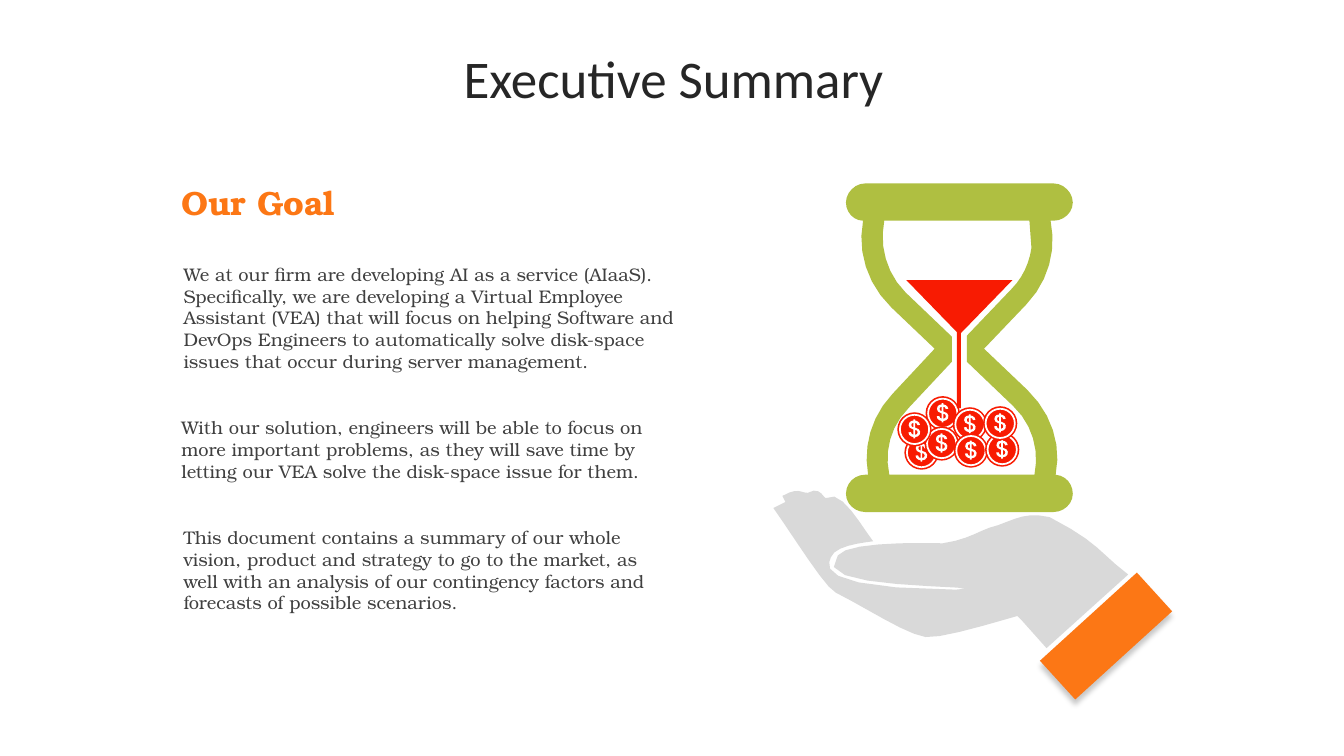
from dataclasses import dataclass

from lxml import etree
from pptx import Presentation
from pptx.dml.color import RGBColor
from pptx.enum import shapes, text
from pptx.oxml import ns
from pptx.util import Inches, Pt

INK = RGBColor(0x26, 0x26, 0x26)
BODY_GREY = RGBColor(0x40, 0x40, 0x40)
SKIN_GREY = RGBColor(0xD9, 0xD9, 0xD9)
ORANGE = RGBColor(0xFC, 0x77, 0x15)
GREEN = RGBColor(0xAF, 0xBF, 0x41)
RED = RGBColor(0xF8, 0x1B, 0x02)
WHITE = RGBColor(0xFF, 0xFF, 0xFF)
SERIF = "TeX Gyre Bonum"
CURVE_STEPS = 6

# A contour is a start point, then lines (x, y) and cubic curves (x1, y1, x2, y2, x, y).
Contour = list[tuple[float, ...]]

PALM: list[Contour] = [[
    (9.35, 5.39), (8.96, 5.38, 8.39, 5.39, 8.31, 5.51), (8.05, 5.78, 8.96, 5.8, 9.5, 5.83),
    (9.88, 5.9), (10.13, 6.15), (10.38, 6.43), (11.19, 5.7),
    (10.9, 5.48, 10.91, 5.39, 10.41, 5.13), (10.18, 5.08, 10.09, 5.14, 9.9, 5.21),
    (9.72, 5.25, 9.63, 5.35, 9.35, 5.39),
]]
FINGERS: list[Contour] = [[
    (8.66, 5.37), (8.55, 5.23, 8.34, 4.84, 8.2, 4.94), (8.17, 4.97, 8.15, 4.81, 8.01, 4.89),
    (7.94, 4.89, 7.92, 4.83, 7.76, 4.92), (7.79, 4.98), (7.67, 5.04),
    (7.87, 5.32, 8.18, 5.83, 8.29, 5.88), (8.59, 6.03, 8.98, 6.29, 9.18, 6.32),
    (9.38, 6.34, 10.06, 6.11, 10.49, 6), (10.45, 5.93, 10.08, 5.75, 9.48, 5.85),
    (8.04, 5.84, 8.22, 5.6, 8.24, 5.53), (8.28, 5.42, 8.51, 5.39, 8.66, 5.37),
]]
HOURGLASS: list[Contour] = [
    [
        (8.58, 1.82), (10.45, 1.82), (10.55, 1.82, 10.64, 1.91, 10.64, 2.01),
        (10.64, 2.11, 10.55, 2.19, 10.45, 2.19), (10.42, 2.19),
        (10.48, 2.48, 10.4, 2.79, 10.18, 3.02), (9.76, 3.46), (10.19, 3.87),
        (10.43, 4.1, 10.53, 4.42, 10.47, 4.71), (10.57, 4.72, 10.64, 4.8, 10.64, 4.9),
        (10.64, 5, 10.55, 5.08, 10.45, 5.08), (8.58, 5.08),
        (8.48, 5.08, 8.39, 5, 8.39, 4.9), (8.39, 4.79, 8.48, 4.71, 8.58, 4.71),
        (8.61, 4.71), (8.56, 4.43, 8.64, 4.13, 8.85, 3.91), (9.27, 3.46), (8.84, 3.05),
        (8.6, 2.82, 8.5, 2.49, 8.56, 2.19), (8.47, 2.19, 8.39, 2.11, 8.39, 2.01),
        (8.39, 1.91, 8.48, 1.82, 8.58, 1.82),
    ],
    [
        (8.77, 2.19), (8.72, 2.44, 8.79, 2.71, 8.98, 2.9), (9.44, 3.34), (9.44, 3.59),
        (9.01, 4.05), (8.83, 4.23, 8.77, 4.48, 8.82, 4.71), (10.26, 4.71),
        (10.31, 4.47, 10.24, 4.21, 10.05, 4.03), (9.59, 3.59), (9.59, 3.33), (10.03, 2.87),
        (10.14, 2.76, 10.21, 2.61, 10.23, 2.46), (10.21, 2.19),
    ],
]
# In thousandths of an inch.
DOLLAR: list[Contour] = [
    [
        (66, 190), (50, 190), (50, 176), (28, 170), (8, 154), (0, 130), (25, 127),
        (34, 146), (50, 154), (50, 102), (14, 84), (3, 58), (9, 34), (25, 18), (50, 12),
        (50, 0), (66, 0), (66, 12), (86, 17), (106, 32), (115, 56), (90, 58), (82, 41),
        (66, 34), (66, 82), (102, 98), (116, 122), (112, 150), (94, 169), (66, 177),
    ],
    [(50, 80), (50, 34), (34, 42), (28, 56), (34, 72)],
    [(66, 155), (86, 146), (92, 126), (84, 111), (66, 104)],
]
COINS = [(8.97, 4.32), (9.18, 3.93), (9.45, 4.04), (9.17, 4.23),
         (8.9, 4.09), (9.46, 4.3), (9.77, 4.29), (9.75, 4.03)]


@dataclass(frozen=True)
class Passage:
    wording: str
    top: float
    width: float
    height: float
    inset: float = 0.1
    size: int = 13
    colour: RGBColor = BODY_GREY
    bold: bool = False


PASSAGES = [
    Passage("Our Goal", 1.76, 3.86, 0.5, size=24, colour=ORANGE, bold=True),
    Passage("We at our firm are developing AI as a service (AIaaS). Specifically, we are "
            "developing a Virtual Employee Assistant (VEA) that will focus on helping Software "
            "and DevOps Engineers to automatically solve disk-space issues that occur during "
            "server management.", 2.56, 5.12, 1.19, inset=0.12),
    Passage("With our solution, engineers will be able to focus on more important problems, as "
            "they will save time by letting our VEA solve the disk-space issue for them.",
            4.08, 4.79, 0.76),
    Passage("This document contains a summary of our whole vision, product and strategy to go "
            "to the market, as well with an analysis of our contingency factors and forecasts "
            "of possible scenarios.", 5.17, 5.12, 0.98, inset=0.12),
]


def flatten(contour: Contour) -> Contour:
    """Turn the curves of a contour into short straight steps."""
    points = [contour[0]]
    for segment in contour[1:]:
        if len(segment) == 2:
            points.append(segment)
            continue
        start, first, second, end = points[-1], segment[:2], segment[2:4], segment[4:]
        for step in range(1, CURVE_STEPS + 1):
            t = step / CURVE_STEPS
            u = 1 - t
            points.append(tuple(
                u**3 * a + 3 * u * u * t * b + 3 * u * t * t * c + t**3 * d
                for a, b, c, d in zip(start, first, second, end)))
    return points


def paint(shape, colour: RGBColor) -> None:
    shape.shadow.inherit = False
    shape.fill.solid()
    shape.fill.fore_color.rgb = colour
    shape.line.fill.background()


def add_outline(parts, contours: list[Contour], colour: RGBColor,
                left: float = 0, top: float = 0, unit: float = 1) -> None:
    builder = None
    for contour in contours:
        points = [(Inches(left + x * unit), Inches(top + y * unit))
                  for x, y in flatten(contour)]
        if builder is None:
            builder = parts.build_freeform(*points[0], scale=1.0)
        else:
            builder.move_to(*points[0])
        builder.add_line_segments(points[1:], close=True)
    paint(builder.convert_to_shape(), colour)


def add_solid(parts, kind, left: float, top: float, width: float, height: float,
              colour: RGBColor, rotation: float = 0):
    solid = parts.add_shape(kind, Inches(left), Inches(top), Inches(width), Inches(height))
    solid.rotation = rotation
    paint(solid, colour)
    return solid


def add_coin(parts, left: float, top: float) -> None:
    oval = shapes.MSO_SHAPE.OVAL
    add_solid(parts, oval, left, top, 0.34, 0.34, RED)
    face = add_solid(parts, oval, left + 0.025, top + 0.025, 0.29, 0.29, RED)
    face.line.color.rgb = WHITE
    face.line.width = Pt(1.25)
    add_outline(parts, DOLLAR, WHITE, left + 0.11, top + 0.07, 0.001)


def add_drop_shadow(shape) -> None:
    effects = shape._element.spPr.find(ns.qn("a:effectLst"))
    shadow = etree.SubElement(effects, ns.qn("a:outerShdw"), blurRad=str(Pt(4)),
                              dist=str(Pt(4)), dir="5400000", rotWithShape="0")
    black = etree.SubElement(shadow, ns.qn("a:srgbClr"), val="000000")
    etree.SubElement(black, ns.qn("a:alpha"), val="22000")


def add_passage(slide, passage: Passage) -> None:
    box = slide.shapes.add_textbox(Inches(1.7), Inches(passage.top),
                                   Inches(passage.width), Inches(passage.height))
    frame = box.text_frame
    frame.word_wrap = True
    frame.auto_size = text.MSO_AUTO_SIZE.SHAPE_TO_FIT_TEXT
    frame.margin_left = frame.margin_right = Inches(passage.inset)
    paragraph = frame.paragraphs[0]
    paragraph.text = passage.wording
    font = paragraph.font
    font.name, font.size, font.bold = SERIF, Pt(passage.size), passage.bold
    font.color.rgb = passage.colour


def add_heading(slide) -> None:
    title = slide.shapes.title
    title.left, title.top = Inches(0.35), Inches(0.37)
    title.width, title.height = Inches(12.66), Inches(0.79)
    title.text_frame.text = "Executive Summary"
    title.text_frame.vertical_anchor = text.MSO_ANCHOR.MIDDLE
    heading = title.text_frame.paragraphs[0]
    heading.alignment = text.PP_ALIGN.CENTER
    heading.font.name, heading.font.size = "Calibri", Pt(37.8)
    heading.font.color.rgb = INK


def main() -> None:
    deck = Presentation()
    deck.slide_width, deck.slide_height = Inches(13.33), Inches(7.5)
    slide = deck.slides.add_slide(deck.slide_layouts[5])
    add_heading(slide)

    hand = slide.shapes.add_group_shape().shapes
    add_outline(hand, PALM, SKIN_GREY)
    add_outline(hand, FINGERS, SKIN_GREY)
    cuff = add_solid(hand, shapes.MSO_SHAPE.RECTANGLE, 10.71, 5.66, 0.52, 1.3, ORANGE, 47.7)
    add_drop_shadow(cuff)

    timer = slide.shapes.add_group_shape().shapes
    add_outline(timer, HOURGLASS, GREEN)
    for left, top in COINS:
        add_coin(timer, left, top)
    add_solid(timer, shapes.MSO_SHAPE.ISOSCELES_TRIANGLE, 8.99, 2.78, 1.05, 0.54, RED, 180)
    add_solid(timer, shapes.MSO_SHAPE.RECTANGLE, 9.49, 3.25, 0.04, 0.8, RED)

    for passage in PASSAGES:
        add_passage(slide, passage)
    deck.save("out.pptx")


if __name__ == "__main__":
    main()
